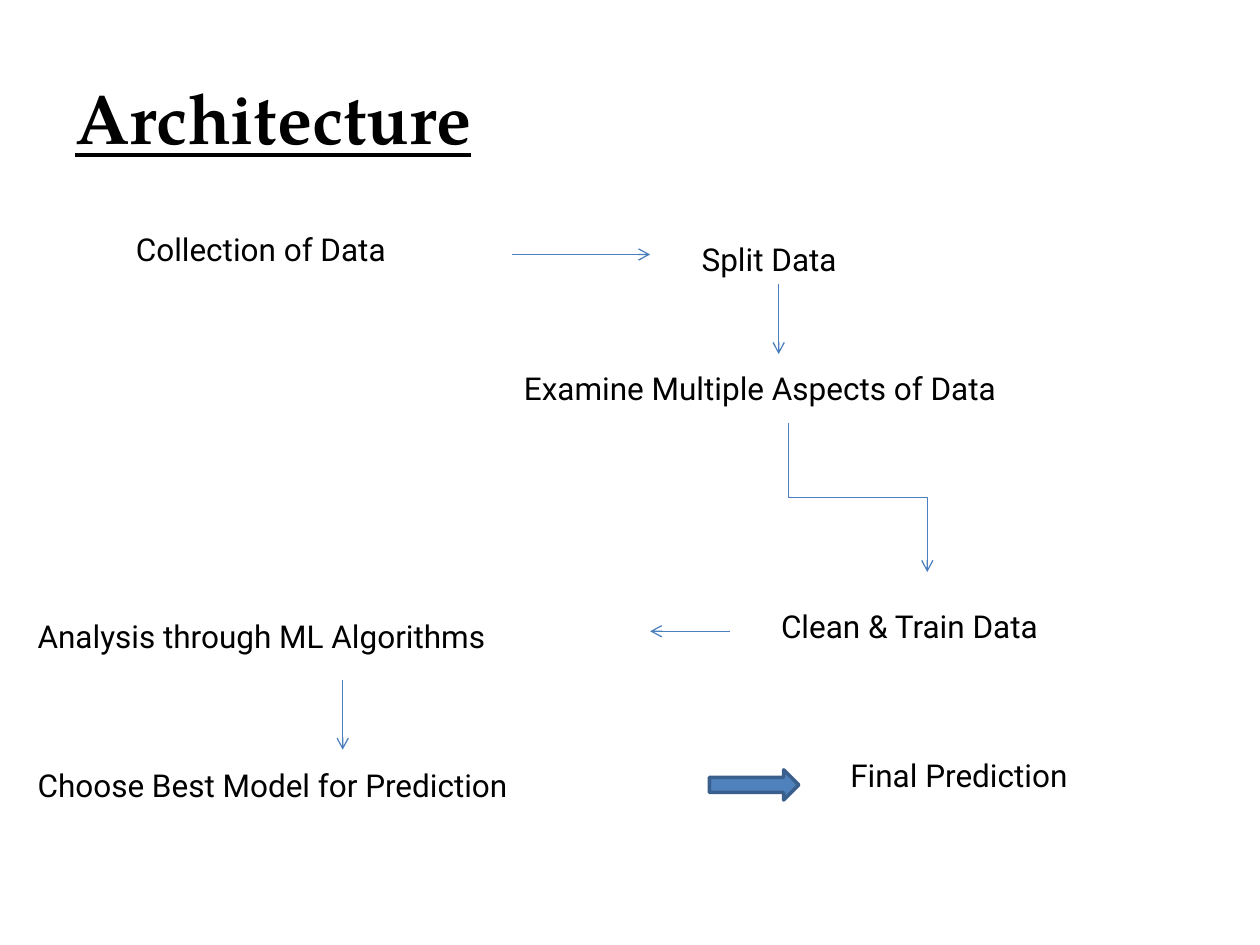
from lxml import etree
from pptx import Presentation
from pptx.dml.color import RGBColor
from pptx.enum.shapes import MSO_CONNECTOR, MSO_SHAPE
from pptx.enum.text import MSO_ANCHOR, MSO_AUTO_SIZE
from pptx.oxml.ns import qn
from pptx.util import Inches, Pt

STRAIGHT, ELBOW = MSO_CONNECTOR.STRAIGHT, MSO_CONNECTOR.ELBOW
RIGHT_ARROW = MSO_SHAPE.RIGHT_ARROW
TOP, MIDDLE = MSO_ANCHOR.TOP, MSO_ANCHOR.MIDDLE
FIT_SHAPE, NO_FIT = MSO_AUTO_SIZE.SHAPE_TO_FIT_TEXT, MSO_AUTO_SIZE.NONE

COLORS = {"text": "000000", "flow": "4B7EBC",
          "arrow": "4F81BD", "arrow_edge": "3A5F8C"}
TITLE_FONT, STEP_FONT = "TeX Gyre Pagella", "Roboto"
STEP_HEIGHT = 0.4


def color(name):
    return RGBColor.from_string(COLORS[name])


class FlowSlide:
    def __init__(self, prs):
        self.slide = prs.slides.add_slide(prs.slide_layouts[6])
        self.shapes = self.slide.shapes

    def text(self, words, box, font, size, anchor=TOP, fit=NO_FIT):
        frame = self.shapes.add_textbox(*map(Inches, box)).text_frame
        frame.word_wrap = True
        frame.auto_size = fit
        frame.vertical_anchor = anchor
        frame.text = words
        run_font = frame.paragraphs[0].runs[0].font
        run_font.name = font
        run_font.size = Pt(size)
        run_font.color.rgb = color("text")
        return run_font

    def title(self, words, box):
        font = self.text(words, box, TITLE_FONT, 40, anchor=MIDDLE)
        font.bold = font.underline = True

    def step(self, words, left, top, width):
        self.text(words, (left, top, width, STEP_HEIGHT), STEP_FONT, 18,
                  fit=FIT_SHAPE)

    def flow(self, start, end, kind=STRAIGHT):
        link = self.shapes.add_connector(kind, *map(Inches, (*start, *end)))
        link.line.color.rgb = color("flow")
        link.line.width = Pt(0.75)
        # Open arrowhead at the end, no shadow
        etree.SubElement(link.line._get_or_add_ln(), qn("a:tailEnd"), type="arrow")
        etree.SubElement(link._element.spPr, qn("a:effectLst"))
        return link

    def elbow_down(self, start, end):
        """Bent connector that leaves and arrives vertically, going right."""
        (x1, y1), (x2, y2) = start, end
        mid_x, mid_y = (x1 + x2) / 2, (y1 + y2) / 2
        half_w, half_h = (y2 - y1) / 2, (x2 - x1) / 2
        link = self.flow((mid_x + half_w, mid_y - half_h),
                         (mid_x - half_w, mid_y + half_h), ELBOW)
        link._element.spPr.find(qn("a:xfrm")).set("rot", str(270 * 60000))

    def block_arrow(self, box):
        arrow = self.shapes.add_shape(RIGHT_ARROW, *map(Inches, box))
        arrow.shadow.inherit = False
        arrow.fill.solid()
        arrow.fill.fore_color.rgb = color("arrow")
        arrow.line.color.rgb = color("arrow_edge")
        arrow.line.width = Pt(2)


def main():
    prs = Presentation()
    prs.slide_width, prs.slide_height = Inches(10), Inches(7.5)
    page = FlowSlide(prs)

    page.title("Architecture", (0.5, 0.3, 9, 1.25))

    # Steps: wording, left, top, width
    steps = [
        ("Collection of Data", 0.98, 1.78, 3.7),
        ("Split Data", 5.47, 1.86, 1.81),
        ("Examine Multiple Aspects of Data", 4.06, 2.88, 5.35),
        ("Clean & Train Data", 6.1, 4.77, 3.31),
        ("Analysis through ML Algorithms", 0.2, 4.85, 4.88),
        ("Choose Best Model for Prediction", 0.2, 6.03, 5.2),
        ("Final Prediction", 6.65, 5.95, 3.15),
    ]
    for step in steps:
        page.step(*step)

    # Links between the steps, in reading order
    page.flow((4.06, 2.02), (5.16, 2.02))
    page.flow((6.18, 2.25), (6.18, 2.81))
    page.elbow_down((6.26, 3.36), (7.36, 4.54))
    page.flow((5.79, 5.01), (5.16, 5.01))
    page.flow((2.72, 5.4), (2.72, 5.95))
    page.block_arrow((5.63, 6.11, 0.71, 0.24))

    prs.save("out.pptx")


if __name__ == "__main__":
    main()
